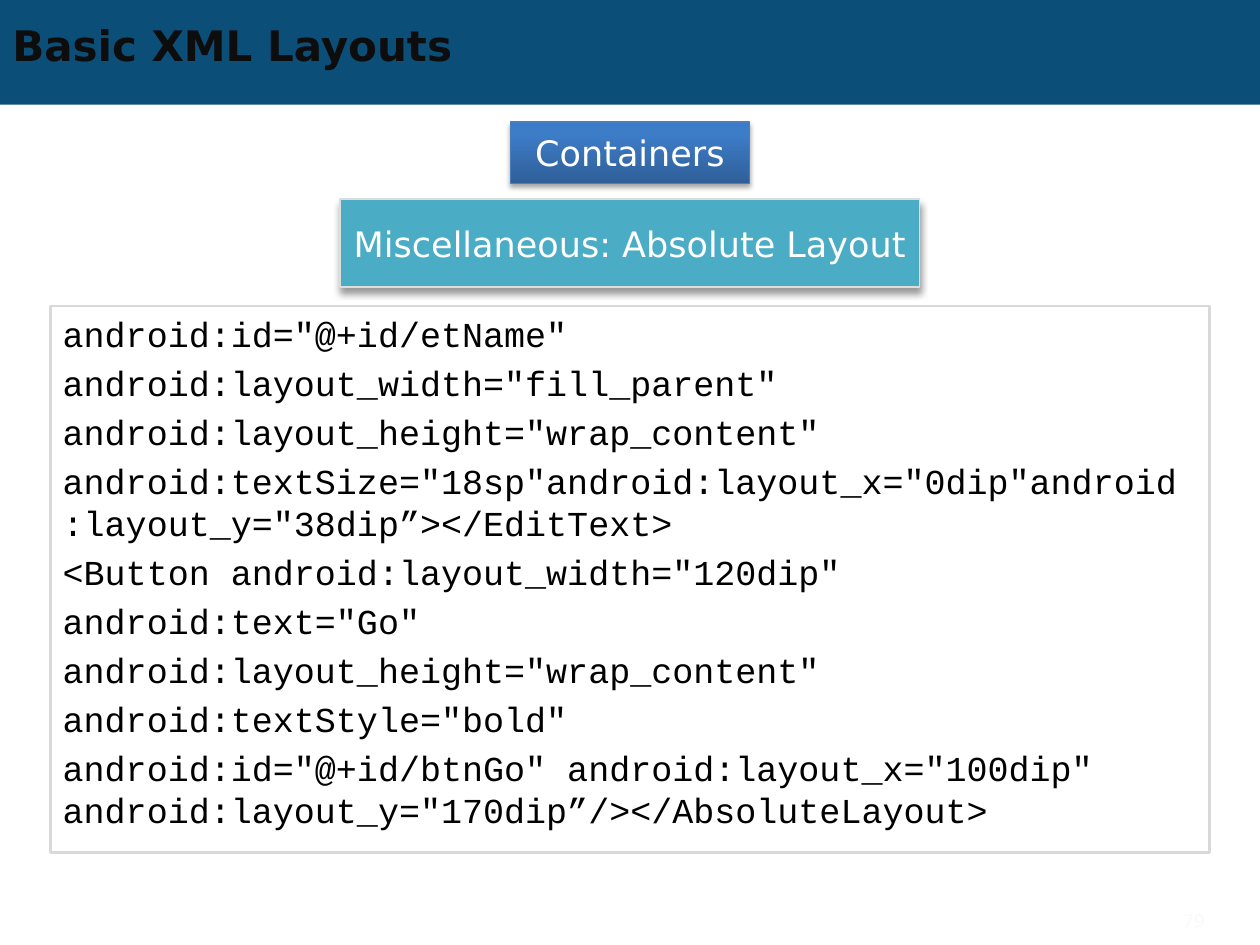
from lxml import etree
from pptx import Presentation
from pptx.dml.color import RGBColor
from pptx.enum.shapes import MSO_SHAPE
from pptx.enum.text import MSO_ANCHOR, PP_ALIGN
from pptx.oxml import parse_xml
from pptx.oxml.ns import nsdecls, qn
from pptx.util import Cm, Pt

RECT = MSO_SHAPE.RECTANGLE
TOP, MID = MSO_ANCHOR.TOP, MSO_ANCHOR.MIDDLE
LEFT, MIDDLE, RIGHT = PP_ALIGN.LEFT, PP_ALIGN.CENTER, PP_ALIGN.RIGHT

NAVY = RGBColor(0x0B, 0x4E, 0x78)
BLUE = RGBColor(0x3D, 0x7C, 0xC7)
EDGE = RGBColor(0x4B, 0x7E, 0xBC)
TEAL = RGBColor(0x4B, 0xAC, 0xC6)
PALE = RGBColor(0xDD, 0xDD, 0xDD)
GREY = RGBColor(0xD9, 0xD9, 0xD9)
FAINT = RGBColor(0xFA, 0xFA, 0xFA)
INK = RGBColor(0x0D, 0x0D, 0x0D)
BLACK = RGBColor(0, 0, 0)
WHITE = RGBColor(0xFF, 0xFF, 0xFF)

SANS, MONO = "DejaVu Sans", "Courier New"
WIDTH, HEIGHT = 25.4, 19.05

# Content
TITLE = "Basic XML Layouts"
TOPIC = "Containers"
KIND = "Miscellaneous: Absolute Layout"
PAGE = "79"
CODE = [
    'android:id="@+id/etName"',
    'android:layout_width="fill_parent"',
    'android:layout_height="wrap_content"',
    'android:textSize="18sp"android:layout_x="0dip"android:layout_y="38dip”></EditText>',
    '<Button android:layout_width="120dip"',
    'android:text="Go"',
    'android:layout_height="wrap_content"',
    'android:textStyle="bold"',
    'android:id="@+id/btnGo" android:layout_x="100dip" android:layout_y="170dip”/></AbsoluteLayout>',
]
STOPS = [(0, "2F5F99"), (80, "3D7CC7"), (100, "3A7CCB")]

# Text formats
HEAD = dict(name=SANS, size=Pt(24), bold=True)
LABEL = dict(name=SANS, size=Pt(20))
LISTING = dict(name=MONO, size=Pt(20))
SMALL = dict(name=SANS, size=Pt(10))


def write(shape, lines, font, color, align=LEFT, anchor=MID, gap=0):
    frame = shape.text_frame
    frame.word_wrap = True
    frame.vertical_anchor = anchor
    for i, line in enumerate(lines):
        para = frame.paragraphs[0] if i == 0 else frame.add_paragraph()
        para.text = line
        para.alignment = align
        para.space_before = Pt(gap if i else 0)
        for key, value in font.items():
            setattr(para.font, key, value)
        para.font.color.rgb = color
    return frame


def box(slide, left, top, width, height, fill=None, line=None, weight=1):
    shape = slide.shapes.add_shape(RECT, Cm(left), Cm(top), Cm(width), Cm(height))
    shape.shadow.inherit = False
    if fill is None:
        shape.fill.background()
    else:
        shape.fill.solid()
        shape.fill.fore_color.rgb = fill
    if line is None:
        shape.line.fill.background()
    else:
        shape.line.color.rgb = line
        shape.line.width = Pt(weight)
    return shape


def area(slide, left, top, width, height):
    return slide.shapes.add_textbox(Cm(left), Cm(top), Cm(width), Cm(height))


def shade(shape, blur, dist, alpha):
    effects = shape._element.spPr.find(qn("a:effectLst"))
    effects.append(parse_xml(
        f'<a:outerShdw {nsdecls("a")} blurRad="{Pt(blur)}" dist="{Pt(dist)}" '
        f'dir="5400000" rotWithShape="0"><a:srgbClr val="000000">'
        f'<a:alpha val="{alpha * 1000}"/></a:srgbClr></a:outerShdw>'))


def blend(shape, stops):
    shape.fill.gradient()
    grad = shape._element.spPr.find(qn("a:gradFill"))
    for child in list(grad):
        grad.remove(child)
    group = etree.SubElement(grad, qn("a:gsLst"))
    for pos, color in stops:
        stop = etree.SubElement(group, qn("a:gs"), pos=str(pos * 1000))
        etree.SubElement(stop, qn("a:srgbClr"), val=color)
    etree.SubElement(grad, qn("a:lin"), ang="16200000", scaled="0")


def main():
    deck = Presentation()
    deck.slide_width, deck.slide_height = Cm(WIDTH), Cm(HEIGHT)
    slide = deck.slides.add_slide(deck.slide_layouts[6])

    # Title band
    box(slide, 0, 0, WIDTH, 2.11, NAVY)
    write(area(slide, 0, 0.36, 22.86, 1.09), [TITLE], HEAD, INK)

    # Centred labels
    wide = 4.83
    topic = box(slide, (WIDTH - wide) / 2, 2.46, wide, 1.24, BLUE, EDGE, 0.75)
    blend(topic, STOPS)
    shade(topic, 3.1, 1.8, 35)
    write(topic, [TOPIC], LABEL, WHITE, MIDDLE)

    wide = 11.68
    kind = box(slide, (WIDTH - wide) / 2, 4.01, wide, 1.78, TEAL, PALE, 1)
    shade(kind, 4, 3, 40)
    frame = write(kind, [KIND], LABEL, WHITE, MIDDLE)
    for side in ("left", "top", "right", "bottom"):
        setattr(frame, "margin_" + side, 0)

    # Code listing
    wide = 23.37
    code = box(slide, (WIDTH - wide) / 2, 6.17, wide, 11.02, None, GREY, 1.5)
    write(code, CODE, LISTING, BLACK, anchor=TOP, gap=4)

    # Page number
    write(area(slide, 22, 18.05, 2.54, 1), [PAGE], SMALL, FAINT, RIGHT)

    deck.save("out.pptx")


if __name__ == "__main__":
    main()
